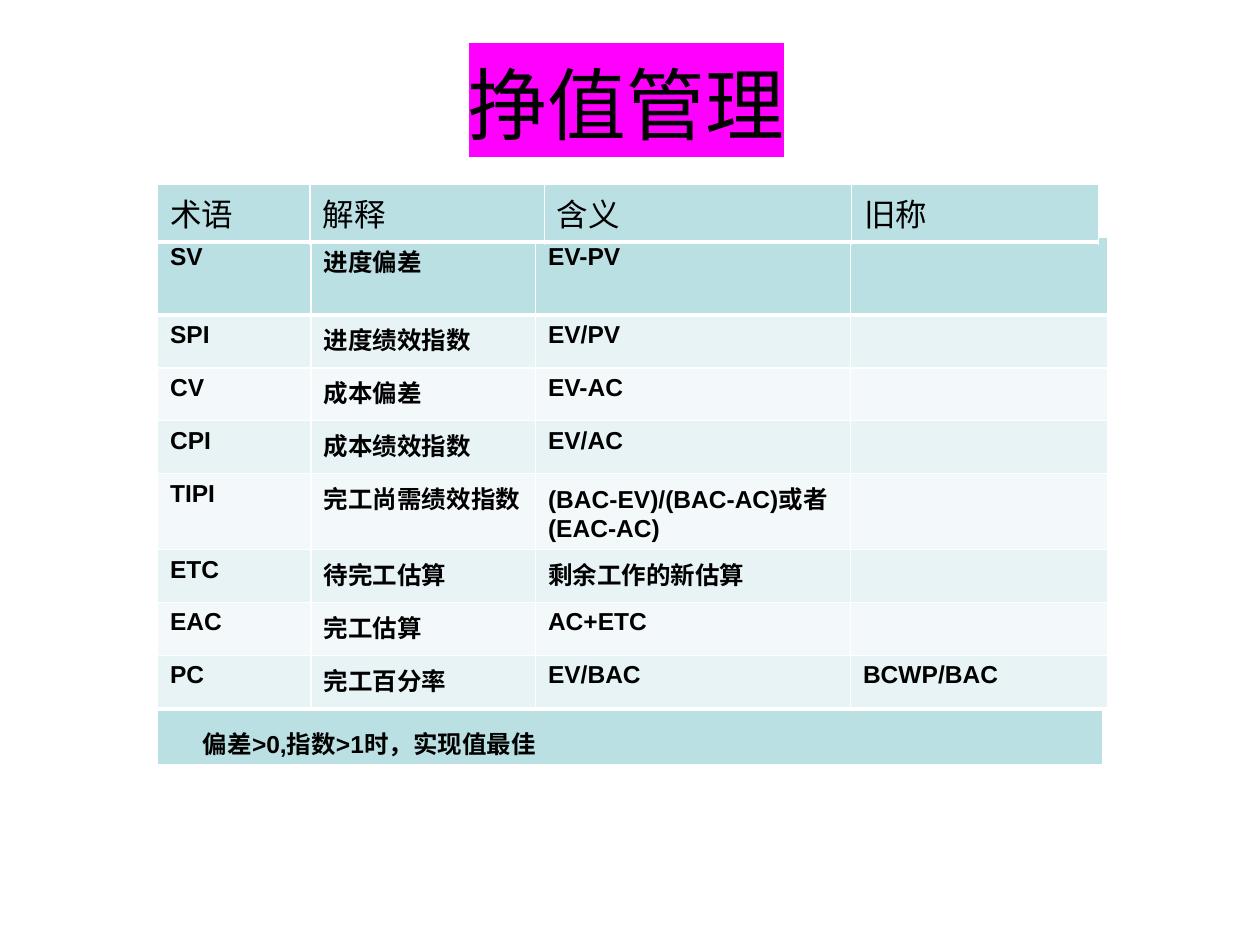
import pptx
import pptx.util
import pptx.dml.color
import pptx.enum.text
import pptx.oxml
import pptx.oxml.ns
from lxml import etree

Inches = pptx.util.Inches

# Content
TITLE = "挣值管理"
HEADINGS = [("术语", "解释", "含义", "旧称")]
TERMS = [
    ("SV", "进度偏差", "EV-PV", ""),
    ("SPI", "进度绩效指数", "EV/PV", ""),
    ("CV", "成本偏差", "EV-AC", ""),
    ("CPI", "成本绩效指数", "EV/AC", ""),
    ("TIPI", "完工尚需绩效指数", "(BAC-EV)/(BAC-AC)或者(EAC-AC)", ""),
    ("ETC", "待完工估算", "剩余工作的新估算", ""),
    ("EAC", "完工估算", "AC+ETC", ""),
    ("PC", "完工百分率", "EV/BAC", "BCWP/BAC"),
]
RULE = [("偏差>0,指数>1时，实现值最佳",)]

THEME = {
    "font": "Arial", "text": "000000", "highlight": "FF00FF", "border": "FFFFFF",
    "strong": "BBE0E3", "bands": ("F3F9FA", "E7F3F4"),
    "title_size": 45, "heading_size": 18, "body_size": 14,
}
TABLE_LEFT = 1.25
ROW_HEIGHT = 0.42
FIRST_ROW_HEIGHT = 0.62


def write(frame, text, size, bold=False, align=None, highlight=None):
    paragraph = frame.paragraphs[0]
    paragraph.alignment = align
    run = paragraph.add_run()
    run.text = text
    run.font.size = pptx.util.Pt(size)
    run.font.bold = bold
    run.font.name = THEME["font"]
    run.font.color.rgb = pptx.dml.color.RGBColor.from_string(THEME["text"])
    if highlight:
        qn = pptx.oxml.ns.qn
        mark = etree.Element(qn("a:highlight"))
        etree.SubElement(mark, qn("a:srgbClr"), val=highlight)
        run.font.fill  # the highlight follows the text colour
        run._r.rPr.find(qn("a:solidFill")).addnext(mark)


def set_borders(cell, bottom_width):
    properties = cell._tc.get_or_add_tcPr()
    widths = {"lnL": 1, "lnR": 1, "lnT": 1, "lnB": bottom_width}
    for position, (side, width) in enumerate(widths.items()):
        properties.insert(position, pptx.oxml.parse_xml(
            f'<a:{side} {pptx.oxml.ns.nsdecls("a")} w="{pptx.util.Pt(width)}">'
            f'<a:solidFill><a:srgbClr val="{THEME["border"]}"/></a:solidFill></a:{side}>'))


def add_grid(slide, rows, top, widths, heights, size, bold, banded=False):
    grid = slide.shapes.add_table(
        len(rows), len(widths), Inches(TABLE_LEFT), Inches(top),
        Inches(sum(widths)), Inches(sum(heights))).table
    grid.first_row = grid.horz_banding = False
    for column, width in zip(grid.columns, widths):
        column.width = Inches(width)
    for r, (texts, height) in enumerate(zip(rows, heights)):
        grid.rows[r].height = Inches(height)
        # The top row is strong; the rows below alternate
        fill = THEME["bands"][r % 2] if banded and r else THEME["strong"]
        for c, text in enumerate(texts):
            cell = grid.cell(r, c)
            cell.fill.solid()
            cell.fill.fore_color.rgb = pptx.dml.color.RGBColor.from_string(fill)
            set_borders(cell, 1 if banded and r else 3)
            if text:
                write(cell.text_frame, text, size, bold=bold)
    return grid


def main():
    deck = pptx.Presentation()
    deck.slide_width, deck.slide_height = Inches(10), Inches(7.5)
    slide = deck.slides.add_slide(deck.slide_layouts[5])

    # Title
    title = slide.shapes.title
    title.left, title.top = Inches(1.22), Inches(0.28)
    title.width, title.height = Inches(7.5), Inches(0.96)
    title.text_frame.auto_size = pptx.enum.text.MSO_AUTO_SIZE.NONE
    title.text_frame.vertical_anchor = pptx.enum.text.MSO_ANCHOR.BOTTOM
    write(title.text_frame, TITLE, THEME["title_size"],
          align=pptx.enum.text.PP_ALIGN.CENTER, highlight=THEME["highlight"])

    # Terms, with the headings laid over their upper edge
    term_heights = [FIRST_ROW_HEIGHT] + [ROW_HEIGHT] * (len(TERMS) - 1)
    add_grid(slide, TERMS, 1.88, (1.22, 1.78, 2.5, 2.04), term_heights,
             THEME["body_size"], True, banded=True)
    add_grid(slide, HEADINGS, 1.46, (1.21, 1.86, 2.44, 1.96), [ROW_HEIGHT],
             THEME["heading_size"], False)

    # Rule of thumb, indented
    rule = add_grid(slide, RULE, 5.64, (7.5,), [ROW_HEIGHT], THEME["body_size"], True)
    rule.cell(0, 0).margin_left = Inches(0.36)
    rule.cell(0, 0).margin_top = Inches(0.11)

    deck.save("out.pptx")


if __name__ == "__main__":
    main()
